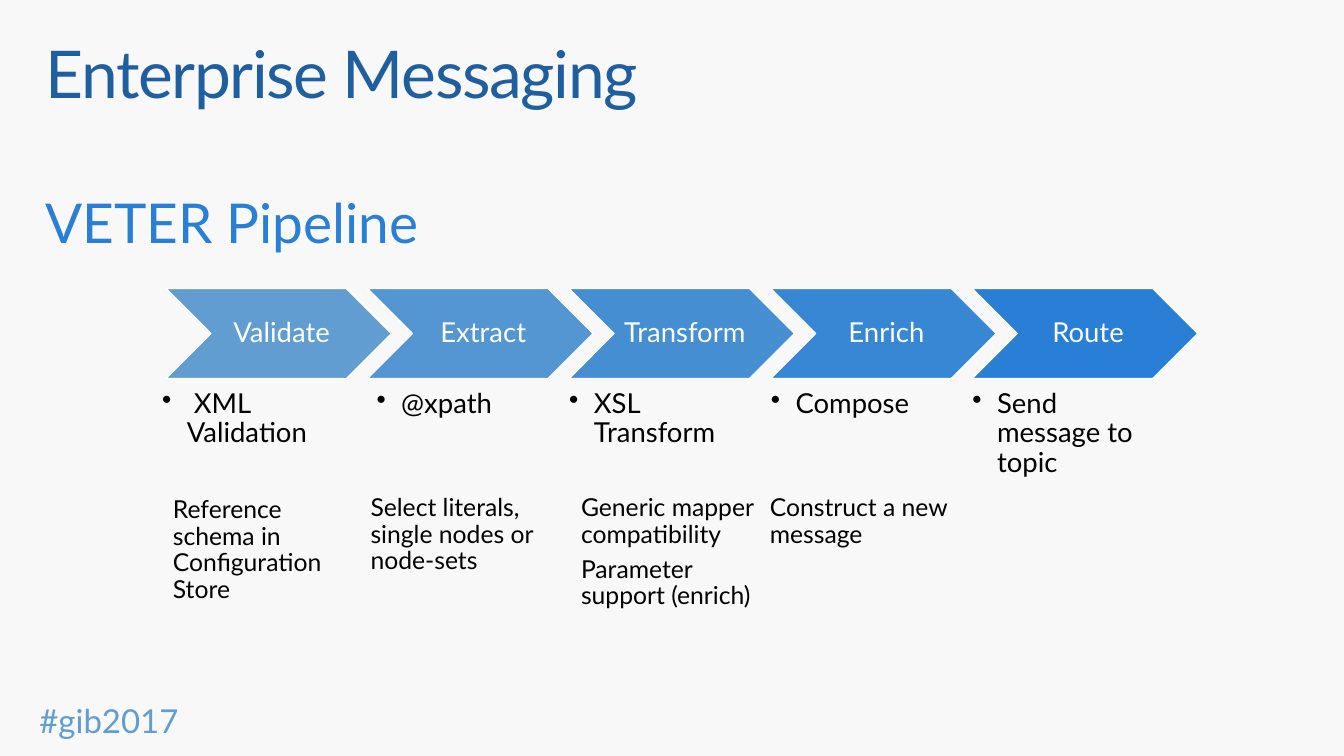
import dataclasses
import typing

import lxml.etree
import pptx
import pptx.dml.color
import pptx.enum.shapes
import pptx.enum.text
import pptx.oxml.ns
import pptx.util

Inches = pptx.util.Inches
ALIGN = pptx.enum.text.PP_ALIGN
ANCHOR = pptx.enum.text.MSO_ANCHOR

FONT = "Lato"
COLORS = {
    "background": "F8F8F8",
    "title": "1F5FA0",
    "subtitle": "297FD5",
    "hashtag": "629DD1",
    "white": "FFFFFF",
    "black": "000000",
    "Validate": "629DD1",
    "Extract": "5496D2",
    "Transform": "468ED2",
    "Enrich": "3787D4",
    "Route": "297FD5",
}
CHEVRON_LEFT, CHEVRON_STEP = 1.68, 2.04


@dataclasses.dataclass
class Stage:
    name: str
    action: str
    action_shift: float = 0
    action_width: float = 1.82


@dataclasses.dataclass
class Detail:
    left: float
    top: float
    height: float
    lines: list[str]


STAGES = [
    Stage("Validate", " XML Validation", -0.04, 1.91),
    Stage("Extract", "@xpath", 0.09),
    Stage("Transform", "XSL Transform"),
    Stage("Enrich", "Compose"),
    Stage("Route", "Send message to topic"),
]
DETAILS = [
    Detail(3.55, 4.85, 1.16, ["Select literals, single nodes or node-sets"]),
    Detail(1.55, 4.87, 1.44, ["Reference schema in Configuration Store"]),
    Detail(5.68, 4.85, 1.52, ["Generic mapper compatibility", "Parameter support (enrich)"]),
    Detail(7.59, 4.85, 0.88, ["Construct a new message"]),
]


def rgb(name: str) -> pptx.dml.color.RGBColor:
    return pptx.dml.color.RGBColor.from_string(COLORS[name])


def add_bullet(p: typing.Any, indent: float) -> None:
    pPr = p._p.get_or_add_pPr()
    pPr.set("marL", str(Inches(indent)))
    pPr.set("indent", str(-Inches(indent)))
    bu = lxml.etree.SubElement(pPr, pptx.oxml.ns.qn("a:buChar"))
    bu.set("char", "•")


def write(sp: typing.Any, lines: list[str], *, size: float, color: str,
          insets: tuple[float, float, float, float] = (0.16, 0.1, 0.16, 0.1),
          align: typing.Any = ALIGN.LEFT, anchor: typing.Any = ANCHOR.TOP,
          line_spacing: float = 0.9, after: float = 0, wrap: bool = True,
          bullet: bool = False, tracking: float = 0) -> None:
    tf = sp.text_frame
    tf.word_wrap = wrap
    tf.vertical_anchor = anchor
    tf.margin_left, tf.margin_top, tf.margin_right, tf.margin_bottom = map(Inches, insets)
    for i, line in enumerate(lines):
        p = tf.add_paragraph() if i else tf.paragraphs[0]
        p.alignment = align
        p.line_spacing = line_spacing
        p.space_after = pptx.util.Pt(after)
        if bullet:
            add_bullet(p, 0.25)
        r = p.add_run()
        r.text = line
        r.font.name = FONT
        r.font.size = pptx.util.Pt(size)
        r.font.color.rgb = rgb(color)
        if tracking:
            r._r.get_or_add_rPr().set("spc", str(round(tracking * 100)))


def add_text(s: typing.Any, box: tuple[float, float, float, float],
             lines: list[str], **style: typing.Any) -> None:
    write(s.shapes.add_textbox(*map(Inches, box)), lines, **style)


def add_stage(s: typing.Any, stage: Stage, left: float) -> None:
    sp = s.shapes.add_shape(pptx.enum.shapes.MSO_SHAPE.CHEVRON,
                            Inches(left), Inches(2.92), Inches(2.28), Inches(0.91))
    sp.shadow.inherit = False
    sp.fill.solid()
    sp.fill.fore_color.rgb = rgb(stage.name)
    sp.line.color.rgb = rgb("white")
    sp.line.width = pptx.util.Pt(0.85)
    write(sp, [stage.name], size=20, color="white", insets=(0.09, 0.03, 0.03, 0.03),
          align=ALIGN.CENTER, anchor=ANCHOR.MIDDLE)
    add_text(s, (left + stage.action_shift, 3.94, stage.action_width, 1.02), [stage.action],
             size=20, color="black", insets=(0, 0, 0, 0), bullet=True)


def main() -> None:
    prs = pptx.Presentation()
    prs.slide_width, prs.slide_height = Inches(13.6), Inches(7.65)
    s = prs.slides.add_slide(prs.slide_layouts[6])
    s.background.fill.solid()
    s.background.fill.fore_color.rgb = rgb("background")

    add_text(s, (0.3, 7.04, 1.61, 0.5), ["#gib2017"], size=24, color="hashtag",
             insets=(0.1, 0.05, 0.1, 0.05), line_spacing=1, wrap=False)
    add_text(s, (0.3, 0.32, 13, 1), ["Enterprise Messaging"], size=48, color="title", tracking=-1)
    add_text(s, (0.3, 1.88, 13, 0.81), ["VETER Pipeline"], size=40, color="subtitle")
    for i, stage in enumerate(STAGES):
        add_stage(s, stage, CHEVRON_LEFT + i * CHEVRON_STEP)
    for detail in DETAILS:
        add_text(s, (detail.left, detail.top, 2.33, detail.height), detail.lines,
                 size=18, color="black", insets=(0.2, 0.16, 0.2, 0.16), after=6)
    prs.save("out.pptx")


if __name__ == "__main__":
    main()
